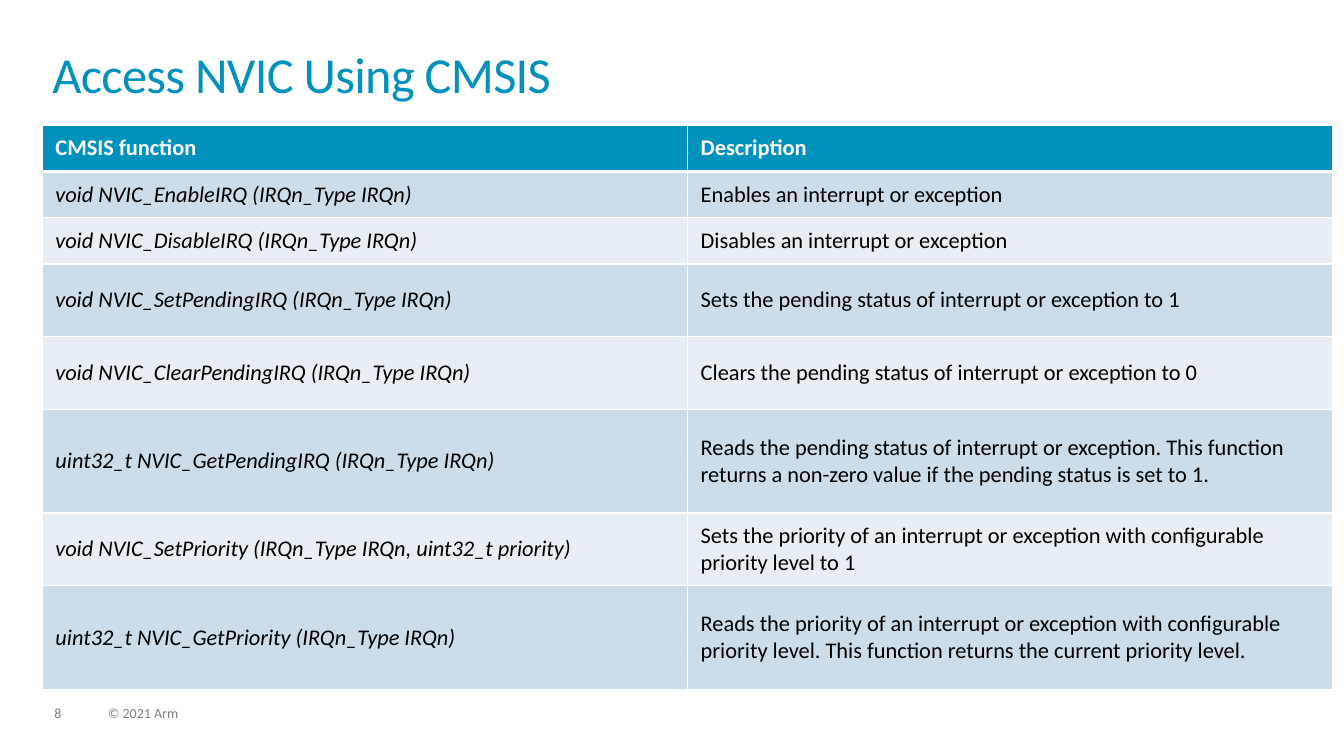
from dataclasses import dataclass
from typing import NamedTuple

from lxml import etree
from pptx import Presentation
from pptx import util as u
from pptx.dml import color
from pptx.enum import text
from pptx.oxml import ns


@dataclass(frozen=True)
class Theme:
    font: str = "Calibri"
    accent: str = "0091BD"
    white: str = "FFFFFF"
    black: str = "000000"
    gray: str = "7F7F7F"
    bands: tuple[str, str] = ("CCDCE8", "E7EEF4")
    title_size: int = 36
    table_size: int = 16
    footer_size: int = 10
    border: int = 1
    header_border: int = 3


class FunctionRow(NamedTuple):
    function: str
    description: str
    height: float


class FooterItem(NamedTuple):
    label: str
    left: float
    width: float


THEME = Theme()
ROWS = [
    FunctionRow("CMSIS function", "Description", 0.46),
    FunctionRow("void NVIC_EnableIRQ (IRQn_Type IRQn)",
                "Enables an interrupt or exception", 0.46),
    FunctionRow("void NVIC_DisableIRQ (IRQn_Type IRQn)",
                "Disables an interrupt or exception", 0.46),
    FunctionRow("void NVIC_SetPendingIRQ (IRQn_Type IRQn)",
                "Sets the pending status of interrupt or exception to 1", 0.72),
    FunctionRow("void NVIC_ClearPendingIRQ (IRQn_Type IRQn)",
                "Clears the pending status of interrupt or exception to 0", 0.72),
    FunctionRow("uint32_t NVIC_GetPendingIRQ (IRQn_Type IRQn)",
                "Reads the pending status of interrupt or exception. This function "
                "returns a non-zero value if the pending status is set to 1.", 1.03),
    FunctionRow("void NVIC_SetPriority (IRQn_Type IRQn, uint32_t priority)",
                "Sets the priority of an interrupt or exception with configurable "
                "priority level to 1", 0.72),
    FunctionRow("uint32_t NVIC_GetPriority (IRQn_Type IRQn)",
                "Reads the priority of an interrupt or exception with configurable "
                "priority level. This function returns the current priority level.", 1.03),
]
FOOTER = [FooterItem("8", 0.54, 0.34), FooterItem("© 2021 Arm", 1.07, 5.07)]


def write(frame, content: str, *, size: int, rgb: str, bold: bool = False,
          italic: bool = False, line_spacing: float = 1.0,
          space_after: float = 0, tracking: float = 0) -> None:
    para = frame.paragraphs[0]
    para.alignment = text.PP_ALIGN.LEFT
    para.line_spacing = line_spacing
    para.space_before = u.Pt(0)
    para.space_after = u.Pt(space_after)
    span = para.add_run()
    span.text = content
    span.font.name = THEME.font
    span.font.size = u.Pt(size)
    span.font.bold = bold
    span.font.italic = italic
    span.font.color.rgb = color.RGBColor.from_string(rgb)
    if tracking:
        span.font._element.set("spc", str(round(tracking * 100)))


def clear_insets(frame) -> None:
    frame.margin_left = frame.margin_right = u.Inches(0)
    frame.margin_top = frame.margin_bottom = u.Inches(0)
    frame.word_wrap = True
    frame.vertical_anchor = text.MSO_ANCHOR.TOP


def add_title(page, content: str) -> None:
    title = page.shapes.title
    title.left, title.top = u.Inches(0.52), u.Inches(0.52)
    title.width, title.height = u.Inches(12.28), u.Inches(0.72)
    clear_insets(title.text_frame)
    title.text_frame.auto_size = text.MSO_AUTO_SIZE.NONE
    write(title.text_frame, content, size=THEME.title_size, rgb=THEME.accent,
          line_spacing=0.85, tracking=-0.5)


def add_footer(page, item: FooterItem) -> None:
    box = page.shapes.add_textbox(u.Inches(item.left), u.Inches(7.01),
                                  u.Inches(item.width), u.Inches(0.15))
    clear_insets(box.text_frame)
    box.text_frame.auto_size = text.MSO_AUTO_SIZE.SHAPE_TO_FIT_TEXT
    write(box.text_frame, item.label, size=THEME.footer_size, rgb=THEME.gray,
          line_spacing=0.9, space_after=6)


def set_borders(cell, *, top: int, bottom: int) -> None:
    properties = cell._tc.get_or_add_tcPr()
    widths = {"L": THEME.border, "R": THEME.border, "T": top, "B": bottom}
    for side, width in widths.items():
        line = etree.SubElement(properties, ns.qn(f"a:ln{side}"), w=str(u.Pt(width)))
        fill = etree.SubElement(line, ns.qn("a:solidFill"))
        etree.SubElement(fill, ns.qn("a:srgbClr"), val=THEME.white)


def format_cell(cell, content: str, *, row: int, column: int) -> None:
    header = row == 0
    set_borders(cell, top=THEME.header_border if row == 1 else THEME.border,
                bottom=THEME.header_border if header else THEME.border)
    cell.fill.solid()
    cell.fill.fore_color.rgb = color.RGBColor.from_string(
        THEME.accent if header else THEME.bands[(row - 1) % 2])
    cell.vertical_anchor = text.MSO_ANCHOR.MIDDLE
    cell.margin_left = cell.margin_right = u.Inches(0.13)
    cell.margin_top = cell.margin_bottom = u.Inches(0.05)
    write(cell.text_frame, content, size=THEME.table_size, bold=header,
          rgb=THEME.white if header else THEME.black,
          italic=not header and column == 0)


def add_function_table(page, rows: list[FunctionRow]) -> None:
    height = sum(row.height for row in rows)
    table = page.shapes.add_table(len(rows), 2, u.Inches(0.42), u.Inches(1.24),
                                  u.Inches(12.8), u.Inches(height)).table
    for column in table.columns:
        column.width = u.Inches(6.4)
    for index, row in enumerate(rows):
        table.rows[index].height = u.Inches(row.height)
        for column, content in enumerate((row.function, row.description)):
            format_cell(table.cell(index, column), content, row=index, column=column)


def main() -> None:
    deck = Presentation()
    deck.slide_width, deck.slide_height = u.Inches(13.33), u.Inches(7.5)
    page = deck.slides.add_slide(deck.slide_layouts.get_by_name("Title Only"))
    for item in FOOTER:
        add_footer(page, item)
    add_title(page, "Access NVIC Using CMSIS")
    add_function_table(page, ROWS)
    deck.save("out.pptx")


if __name__ == "__main__":
    main()
